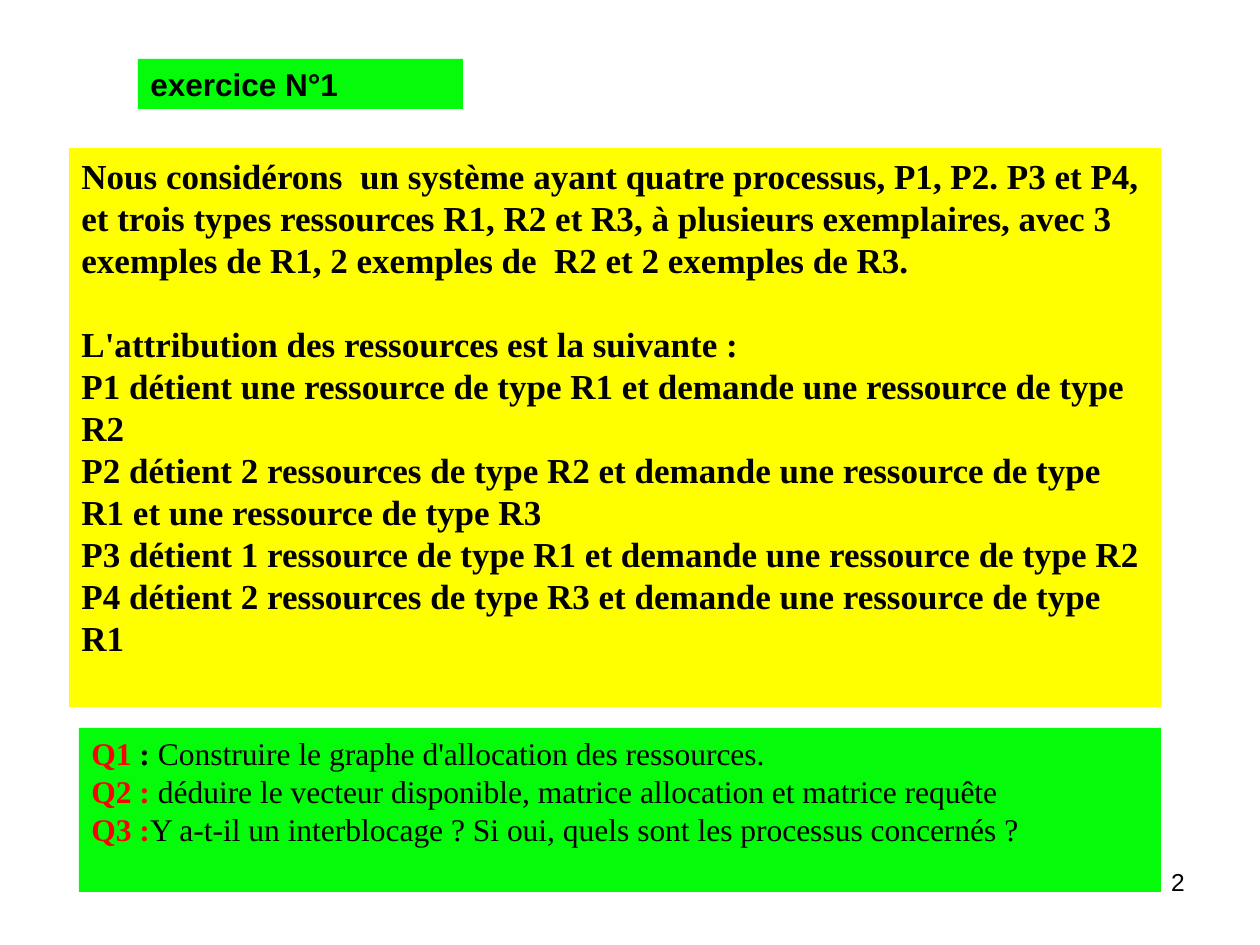
from pptx import Presentation
from pptx import util as u
from pptx.dml.color import RGBColor
from pptx.enum import shapes, text

HUE = {"green": "04FC0A", "yellow": "FFFF00", "red": "FF0000", "black": "000000"}
SERIF = "Times New Roman"

FACTS = [
    "Nous considérons  un système ayant quatre processus, P1, P2. P3 et P4, "
    "et trois types ressources R1, R2 et R3, à plusieurs exemplaires, avec 3 "
    "exemples de R1, 2 exemples de  R2 et 2 exemples de R3.",
    "L'attribution des ressources est la suivante :",
    "P1 détient une ressource de type R1 et demande une ressource de type R2",
    "P2 détient 2 ressources de type R2 et demande une ressource de type R1 "
    "et une ressource de type R3",
    "P3 détient 1 ressource de type R1 et demande une ressource de type R2",
    "P4 détient 2 ressources de type R3 et demande une ressource de type R1",
]

TASKS = [
    ("Q1 ", ":", " Construire le graphe d'allocation des ressources."),
    ("Q2 :", "", " déduire le vecteur disponible, matrice allocation et matrice requête"),
    ("Q3 :", "", "Y a-t-il un interblocage ? Si oui, quels sont les processus concernés ?"),
]


def px(n):
    return u.Emu(round(n * 914400 / 126))


def tint(name):
    return RGBColor.from_string(HUE[name])


def write(para, words, *, size=18, face=SERIF, hue="black", bold=False):
    run = para.add_run()
    run.text = words
    font = run.font
    font.size = u.Pt(size)
    font.name = face
    font.bold = bold
    font.color.rgb = tint(hue)


def setup(frame):
    frame.word_wrap = True
    frame.vertical_anchor = text.MSO_ANCHOR.TOP
    return frame


def panel(slide, box, hue):
    shape = slide.shapes.add_shape(shapes.MSO_SHAPE.RECTANGLE, *map(px, box))
    shape.shadow.inherit = False
    shape.fill.solid()
    shape.fill.fore_color.rgb = tint(hue)
    shape.line.fill.background()
    return setup(shape.text_frame)


def lines(frame, count):
    paras = [frame.paragraphs[0]]
    paras += [frame.add_paragraph() for _ in range(count - 1)]
    for para in paras:
        para.alignment = text.PP_ALIGN.LEFT
    return paras


def title(slide):
    frame = panel(slide, (138, 59, 325, 50), "green")
    write(lines(frame, 1)[0], "exercice N°1", face="Arial", bold=True)


def facts(slide):
    frame = panel(slide, (69, 148, 1092, 559), "yellow")
    paras = lines(frame, len(FACTS))
    for para, words in zip(paras, FACTS):
        write(para, words, size=20, bold=True)
    paras[1].space_before = u.Pt(24)


def tasks(slide):
    frame = panel(slide, (79, 728, 1082, 164), "green")
    for para, (label, colon, words) in zip(lines(frame, len(TASKS)), TASKS):
        write(para, label, hue="red", bold=True)
        if colon:
            write(para, colon, bold=True)
        write(para, words)


def number(slide):
    box = slide.shapes.add_textbox(*map(px, (903, 861, 294, 66)))
    para = setup(box.text_frame).paragraphs[0]
    para.alignment = text.PP_ALIGN.RIGHT
    write(para, "2", size=14, face="Arial")


def main():
    deck = Presentation()
    deck.slide_width, deck.slide_height = px(1260), px(945)
    slide = deck.slides.add_slide(deck.slide_layouts[6])
    number(slide)
    title(slide)
    facts(slide)
    tasks(slide)
    deck.save("out.pptx")


if __name__ == "__main__":
    main()
